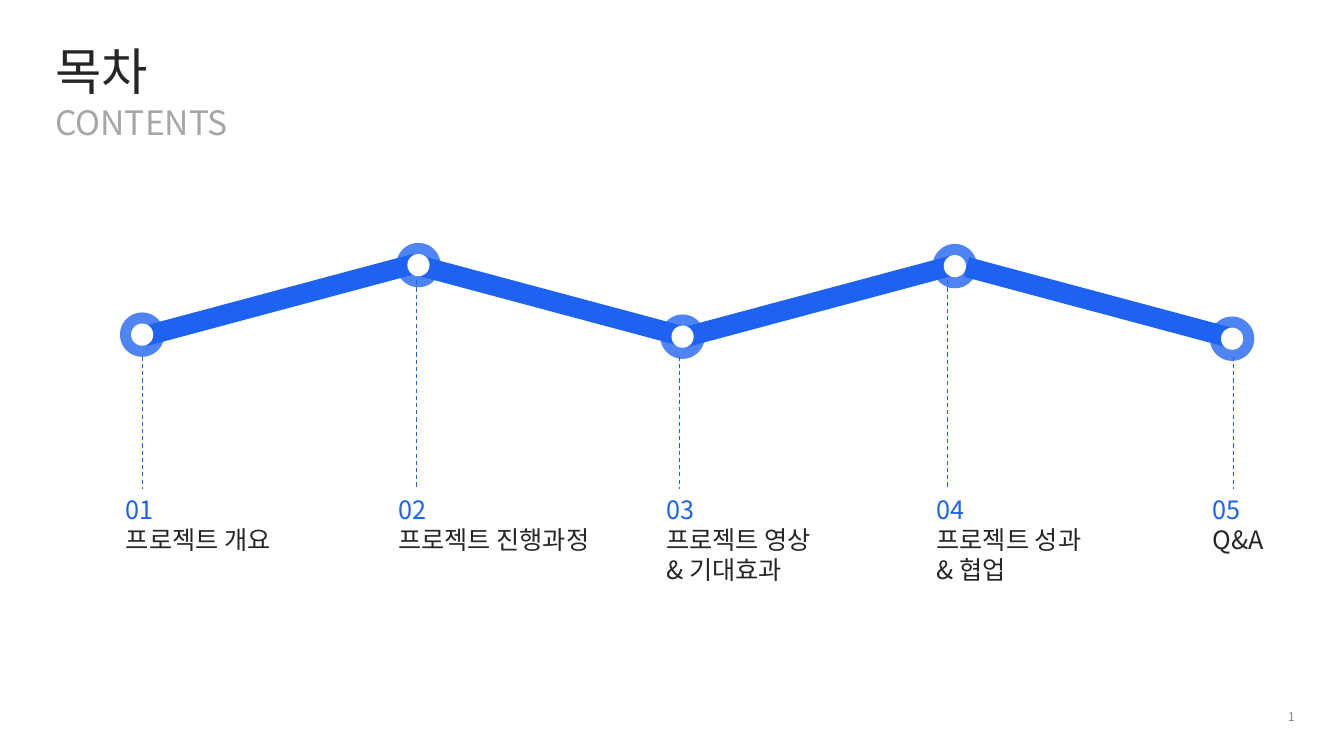
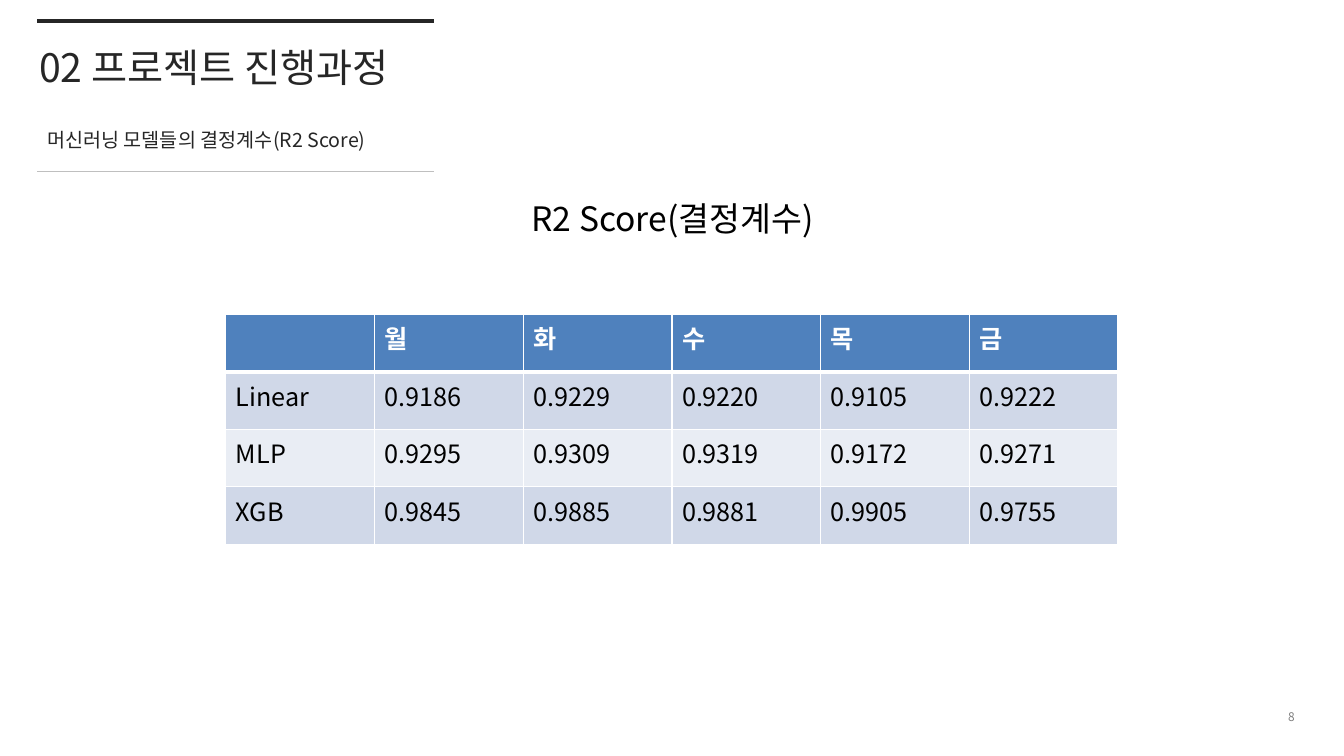
from collections import namedtuple

from lxml import etree
from pptx import Presentation
from pptx import util as u
from pptx.dml.color import RGBColor
from pptx.enum import dml, shapes, text
from pptx.oxml import ns

FONT = "Noto Sans CJK KR"
BLUE, INK, BLACK, WHITE = "1D62F0", "262626", "000000", "FFFFFF"
GRAY, RULE, NUMBER = "A6A6A6", "BFBFBF", "808080"
HEADER, BAND, BAND_LIGHT = "4F81BD", "D0D8E8", "E9EDF4"

Milestone = namedtuple("Milestone", "x y lead label width lines")
MILESTONES = [
    Milestone(1.41, 3.32, 1.41, 1.15, 2.44, ["01", "프로젝트 개요"]),
    Milestone(4.15, 2.63, 4.13, 3.85, 2.44, ["02", "프로젝트 진행과정"]),
    Milestone(6.77, 3.34, 6.74, 6.51, 2.44, ["03", "프로젝트 영상", "& 기대효과"]),
    Milestone(9.47, 2.64, 9.4, 9.19, 2.44, ["04", "프로젝트 성과", "& 협업"]),
    Milestone(12.22, 3.36, 12.23, 11.93, 1.19, ["05", "Q&A"]),
]
SCORES = [
    ["", "월", "화", "수", "목", "금"],
    ["Linear", "0.9186", "0.9229", "0.9220", "0.9105", "0.9222"],
    ["MLP", "0.9295", "0.9309", "0.9319", "0.9172", "0.9271"],
    ["XGB", "0.9845", "0.9885", "0.9881", "0.9905", "0.9755"],
]


def color(value):
    return RGBColor.from_string(value)


def inches(*lengths):
    return [u.Inches(length) for length in lengths]


def style(para, size, value, bold=False):
    for span in para.runs:
        span.font.size = u.Pt(size)
        span.font.bold = bold
        span.font.color.rgb = color(value)
        span.font.name = FONT
        east = etree.SubElement(span.font._element, ns.qn("a:ea"))
        east.set("typeface", FONT)


def add_text(page, box, lines, size, values, align=text.PP_ALIGN.LEFT):
    frame = page.shapes.add_textbox(*inches(*box)).text_frame
    frame.word_wrap = True
    frame.text = "\n".join(lines)
    for index, para in enumerate(frame.paragraphs):
        para.alignment = align
        style(para, size, values[min(index, len(values) - 1)])
    return frame


def add_line(page, start, end, value, width, dashed=False):
    line = page.shapes.add_connector(
        shapes.MSO_CONNECTOR.STRAIGHT, *inches(*start, *end))
    line.line.color.rgb = color(value)
    line.line.width = u.Pt(width)
    if dashed:
        line.line.dash_style = dml.MSO_LINE.DASH
    etree.SubElement(line._element.spPr, ns.qn("a:effectLst"))


def add_block(page, kind, center, width, height, value, alpha=100, rotation=0):
    x, y = center
    block = page.shapes.add_shape(
        kind, *inches(x - width / 2, y - height / 2, width, height))
    block.shadow.inherit = False
    block.rotation = rotation
    block.fill.solid()
    block.fill.fore_color.rgb = color(value)
    block.line.fill.background()
    if alpha < 100:
        tint = block._element.spPr.find(".//" + ns.qn("a:srgbClr"))
        etree.SubElement(tint, ns.qn("a:alpha")).set("val", str(alpha * 1000))


def add_page(deck, number):
    page = deck.slides.add_slide(deck.slide_layouts[6])
    frame = add_text(page, (10.13, 6.98, 2.81, 0.27), [number], 8.5, [NUMBER],
                     text.PP_ALIGN.RIGHT)
    frame.vertical_anchor = text.MSO_ANCHOR.MIDDLE
    return page


def add_node(page, center):
    add_block(page, shapes.MSO_SHAPE.OVAL, center, 0.44, 0.44, BLUE, alpha=78)
    add_block(page, shapes.MSO_SHAPE.OVAL, center, 0.22, 0.22, WHITE)


def add_bar(page, previous, stop):
    rising = stop.y < previous.y
    center = ((previous.x + stop.x) / 2, (previous.y + stop.y) / 2)
    if stop is MILESTONES[-1]:
        center = (10.93, 3.01)
    add_block(page, shapes.MSO_SHAPE.RECTANGLE, center, 2.78, 0.2, BLUE,
              rotation=345 if rising else 15)


def add_timeline(page, label_top):
    for stop in MILESTONES:
        lead_top = 2.78 if stop.y < 3 else 3.54
        add_line(page, (stop.lead, lead_top), (stop.lead, label_top), BLUE, 0.75, True)
        height = 0.11 + 0.3 * len(stop.lines)
        add_text(page, (stop.label, label_top, stop.width, height), stop.lines,
                 18, [BLUE, INK])
    for index in (3, 2, 1, 0, 4):
        stop = MILESTONES[index]
        if index:
            add_bar(page, MILESTONES[index - 1], stop)
        add_node(page, (stop.x, stop.y))


def add_section_heading(page, left, top, title, subtitle):
    right = left + 3.93
    add_line(page, (left, top), (right, top), INK, 3)
    add_text(page, (left - 0.08, top + 0.17, 7.56, 0.57), [title], 28, [INK])
    frame = add_text(page, (left, top + 1.02, 7.56, 0.33), [subtitle], 14, [INK])
    frame.paragraphs[0].line_spacing = u.Pt(16)
    add_line(page, (left, top + 1.49), (right, top + 1.49), RULE, 0.75)


def set_borders(cell, widths):
    properties = cell._tc.get_or_add_tcPr()
    for index, (side, width) in enumerate(widths.items()):
        border = etree.Element(ns.qn("a:ln" + side), w=str(u.Pt(width)))
        fill = etree.SubElement(border, ns.qn("a:solidFill"))
        etree.SubElement(fill, ns.qn("a:srgbClr"), val=WHITE)
        properties.insert(index, border)


def add_score_table(page, box):
    table = page.shapes.add_table(len(SCORES), len(SCORES[0]), *inches(*box)).table
    table.horz_banding = False
    for row, values in enumerate(SCORES):
        header = row == 0
        for column, value in enumerate(values):
            cell = table.cell(row, column)
            cell.text = value
            style(cell.text_frame.paragraphs[0], 18, WHITE if header else BLACK, header)
            cell.fill.solid()
            cell.fill.fore_color.rgb = color(
                HEADER if header else BAND if row % 2 else BAND_LIGHT)
            set_borders(cell, {"L": 1, "R": 1, "T": 3 if row == 1 else 1,
                               "B": 3 if header else 1})


def build_contents(deck):
    page = add_page(deck, "1")
    add_text(page, (0.45, 0.35, 7.56, 0.71), ["목차"], 36, [INK])
    add_text(page, (0.45, 0.96, 7.56, 0.5), ["CONTENTS"], 24, [GRAY])
    add_timeline(page, 4.85)


def build_scores(deck):
    page = add_page(deck, "8")
    add_section_heading(page, 0.37, 0.21, "02 프로젝트 진행과정",
                        "머신러닝 모델들의 결정계수(R2 Score)")
    add_score_table(page, (2.24, 3.12, 8.85, 2.28))
    add_text(page, (5.09, 1.91, 3.16, 0.5), ["R2 Score(결정계수)"], 24, [BLACK],
             text.PP_ALIGN.CENTER)


def main():
    deck = Presentation()
    deck.slide_width, deck.slide_height = inches(13.33, 7.5)
    build_contents(deck)
    build_scores(deck)
    deck.save("out.pptx")


if __name__ == "__main__":
    main()
